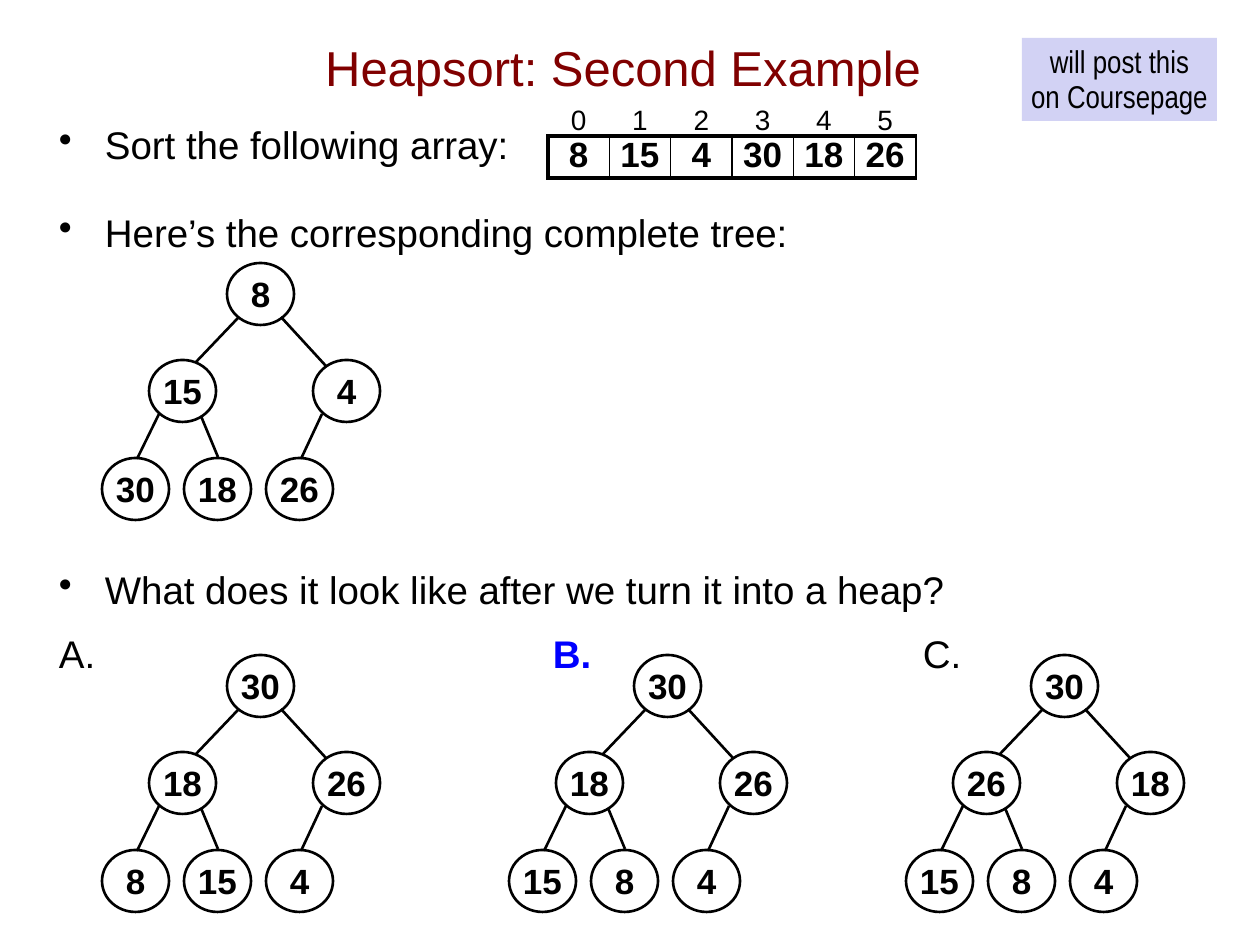
from lxml.etree import SubElement
from pptx import Presentation
from pptx.dml.color import RGBColor
from pptx.enum.shapes import MSO_CONNECTOR, MSO_SHAPE
from pptx.enum.text import MSO_ANCHOR, PP_ALIGN
from pptx.oxml.ns import qn
from pptx.util import Pt

PX = 914400 / 126
COLORS = {"text": "000000", "title": "800000", "answer": "0000FF", "note": "D2D2F4"}
NO_TABLE_STYLE = "{2D5ABB26-0587-4C30-8999-92F81FD0307C}"


def px(*lengths):
    return [round(length * PX) for length in lengths]


def write(frame, text, size, color="text", bold=False, align=PP_ALIGN.CENTER,
          anchor=MSO_ANCHOR.MIDDLE, font="Arial"):
    """Fill a text frame that has no margins and return its paragraph."""
    frame.margin_left = frame.margin_right = frame.margin_top = frame.margin_bottom = 0
    frame.word_wrap = False
    frame.vertical_anchor = anchor
    paragraph = frame.paragraphs[0]
    paragraph.text = text
    paragraph.alignment = align
    paragraph.font.name = font
    paragraph.font.size = Pt(size)
    paragraph.font.bold = bold
    paragraph.font.color.rgb = RGBColor.from_string(COLORS[color])
    return paragraph


presentation = Presentation()
presentation.slide_width, presentation.slide_height = px(1260, 945)
slide = presentation.slides.add_slide(presentation.slide_layouts[6])
shapes = slide.shapes

# Title
title = shapes.add_textbox(*px(81, 8, 1084, 117))
write(title.text_frame, "Heapsort: Second Example", 28, "title")

# Bullets
bullets = [
    (121, "Sort the following array:"),
    (209, "Here’s the corresponding complete tree:"),
    (566, "What does it look like after we turn it into a heap?"),
]
for top, text in bullets:
    box = shapes.add_textbox(*px(59, top, 1100, 44))
    paragraph = write(box.text_frame, text, 22, align=PP_ALIGN.LEFT, anchor=MSO_ANCHOR.TOP)
    box.text_frame.word_wrap = True
    properties = paragraph._p.get_or_add_pPr()
    indent = px(46)[0]
    properties.set("marL", str(indent))
    properties.set("indent", str(-indent))
    bullet = SubElement(properties, qn("a:buChar"), char="•")
    properties.insert(0, bullet)

# Array with its indices
values = [8, 15, 4, 30, 18, 26]
table = shapes.add_table(2, len(values), *px(548, 96, 368, 82)).table
table._tbl.tblPr.find(qn("a:tableStyleId")).text = NO_TABLE_STYLE
table.first_row = table.horz_banding = False
table.rows[0].height, table.rows[1].height = px(40, 42)
for column, value in enumerate(values):
    index_cell, value_cell = table.cell(0, column), table.cell(1, column)
    write(index_cell.text_frame, str(column), 16)
    write(value_cell.text_frame, str(value), 20, bold=True)
    for cell, anchor in ((index_cell, MSO_ANCHOR.BOTTOM), (value_cell, MSO_ANCHOR.TOP)):
        cell.margin_left = cell.margin_right = cell.margin_top = cell.margin_bottom = 0
        cell.vertical_anchor = anchor
    left_width = 1 if column else 2.25
    for side, width in (("L", left_width), ("R", 1), ("T", 2.25), ("B", 2.25)):
        border = SubElement(value_cell._tc.get_or_add_tcPr(), qn(f"a:ln{side}"), w=str(Pt(width)))
        SubElement(SubElement(border, qn("a:solidFill")), qn("a:srgbClr"), val=COLORS["text"])
    index_cell.fill.background()
    value_cell.fill.background()

# Trees: values in level order; node and edge places are relative to the tree
node_places = [(125, 0), (47, 97), (211, 97), (0, 195), (82, 195), (164, 195)]
edges = [
    (136, 55, 94, 99),
    (179, 54, 224, 103),
    (57, 151, 35, 196),
    (99, 153, 116, 194),
    (220, 151, 199, 196),
]
trees = [
    (102, 263, values),
    (102, 655, [30, 18, 26, 8, 15, 4]),
    (509, 655, [30, 18, 26, 15, 8, 4]),
    (906, 655, [30, 26, 18, 15, 8, 4]),
]
black = RGBColor.from_string(COLORS["text"])
for left, top, node_values in trees:
    for x1, y1, x2, y2 in edges:
        edge = shapes.add_connector(
            MSO_CONNECTOR.STRAIGHT, *px(left + x1, top + y1, left + x2, top + y2))
        edge.line.color.rgb = black
        edge.line.width = Pt(1.5)
        SubElement(edge._element.spPr, qn("a:effectLst"))
    for (x, y), value in zip(node_places, node_values):
        node = shapes.add_shape(MSO_SHAPE.OVAL, *px(left + x, top + y, 67, 62))
        node.shadow.inherit = False
        node.fill.background()
        node.line.color.rgb = black
        node.line.width = Pt(1.5)
        write(node.text_frame, str(value), 20, bold=True)

# Answer labels
for left, letter, is_answer in ((59, "A.", False), (553, "B.", True), (923, "C.", False)):
    label = shapes.add_textbox(*px(left, 630, 50, 44))
    write(label.text_frame, letter, 22, "answer" if is_answer else "text", is_answer,
          PP_ALIGN.LEFT, MSO_ANCHOR.TOP)

# Note
note = shapes.add_textbox(*px(1022, 38, 195, 83))
note.fill.solid()
note.fill.fore_color.rgb = RGBColor.from_string(COLORS["note"])
paragraph = write(note.text_frame, "will post this\von Coursepage", 18, font="Arial Narrow")
paragraph.line_spacing = Pt(20)

presentation.save("out.pptx")
